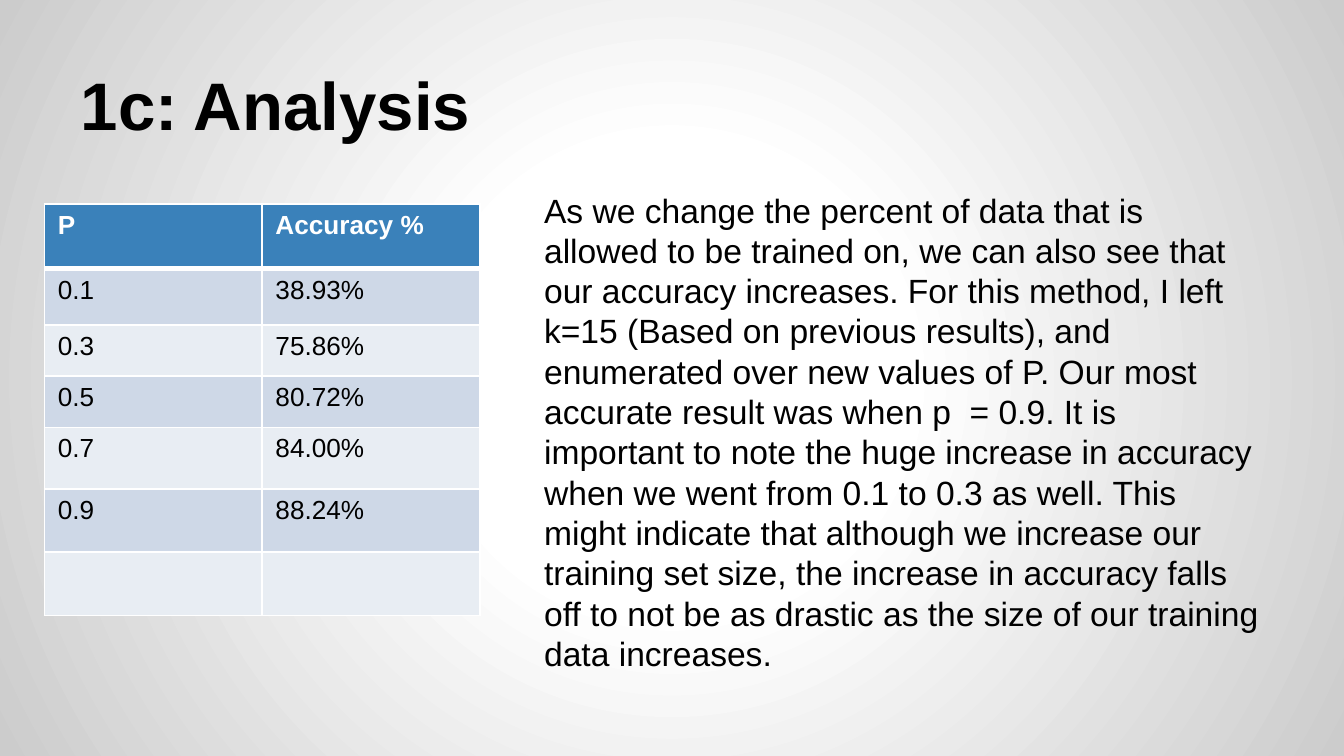
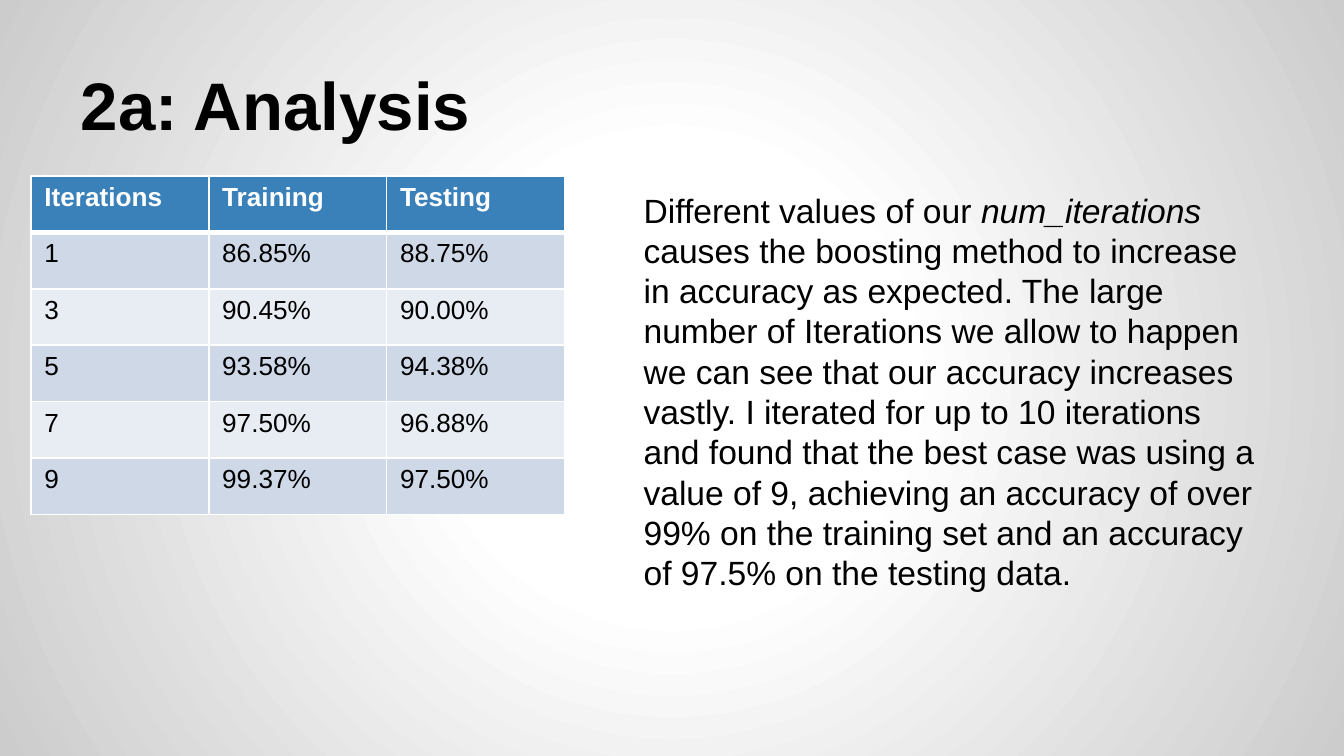
"""Builds two analysis slides, each with a results table beside a commentary."""
from pptx import Presentation
from pptx.dml.color import RGBColor
from pptx.enum.text import MSO_ANCHOR as Anchor, MSO_AUTO_SIZE as AutoSize, PP_ALIGN as Align
from pptx.oxml import parse_xml
from pptx.oxml.ns import nsdecls, qn
from pptx.util import Inches, Pt

BLACK = RGBColor(0x00, 0x00, 0x00)
WHITE = RGBColor(0xFF, 0xFF, 0xFF)
EDGE_GRAY = RGBColor(0xCC, 0xCC, 0xCC)
HEADER_BLUE = RGBColor(0x3A, 0x81, 0xBA)
BAND_DARK = RGBColor(0xCE, 0xD8, 0xE7)
BAND_LIGHT = RGBColor(0xE8, 0xED, 0xF3)
FONT = "Arial"
TITLE_ONLY = 5


class AnalysisDeck:
    """Holds the shared style and the current slide."""

    def __init__(self):
        self.presentation = Presentation()
        self.presentation.slide_width = Inches(10)
        self.presentation.slide_height = Inches(10) * 9 // 16
        self.slide = None
        self.set_background()

    def set_background(self):
        master = self.presentation.slide_master
        master.background.fill.gradient()
        background = master.element.find(".//" + qn("p:bgPr"))
        stops = "".join(
            f'<a:gs pos="{percent * 1000}"><a:srgbClr val="{color}"/></a:gs>'
            for percent, color in ((0, WHITE), (30, WHITE), (100, EDGE_GRAY))
        )
        gradient = parse_xml(
            f'<a:gradFill {nsdecls("a")}><a:gsLst>{stops}</a:gsLst>'
            '<a:path path="circle"><a:fillToRect l="50000" t="50000" r="50000" b="50000"/>'
            "</a:path></a:gradFill>"
        )
        background.replace(background.find(qn("a:gradFill")), gradient)

    def style(self, paragraph, size, color=BLACK, bold=False):
        paragraph.alignment = Align.LEFT
        font = paragraph.font
        font.name, font.size, font.bold = FONT, Pt(size), bold
        font.color.rgb = color

    def frame(self, shape, anchor):
        frame = shape.text_frame
        frame.word_wrap = True
        frame.auto_size = AutoSize.NONE
        frame.vertical_anchor = anchor
        frame.margin_left = frame.margin_right = Inches(0.1)
        frame.margin_top = frame.margin_bottom = Inches(0.1)
        return frame

    def add_slide(self, title):
        layout = self.presentation.slide_layouts[TITLE_ONLY]
        self.slide = self.presentation.slides.add_slide(layout)
        shape = self.slide.shapes.title
        shape.left, shape.top = Inches(0.5), Inches(0.23)
        shape.width, shape.height = Inches(9), Inches(0.94)
        frame = self.frame(shape, Anchor.BOTTOM)
        frame.text = title
        self.style(frame.paragraphs[0], 36, bold=True)

    def add_commentary(self, left, *pieces):
        """Adds text that ends at the right margin; every second piece is italic."""
        shape = self.slide.shapes.add_textbox(
            Inches(left), Inches(1.31), Inches(9.5 - left), Inches(4.07)
        )
        paragraph = self.frame(shape, Anchor.TOP).paragraphs[0]
        self.style(paragraph, 18)
        paragraph.space_before = Pt(6)
        properties = paragraph._p.get_or_add_pPr()
        properties.set("marL", str(Inches(0.04)))
        properties.set("indent", "0")
        for index, piece in enumerate(pieces):
            run = paragraph.add_run()
            run.text = piece
            if index % 2:
                run.font.italic = True

    def add_borders(self, cell, top, bottom):
        properties = cell._tc.get_or_add_tcPr()
        widths = {"L": 1, "R": 1, "T": top, "B": bottom}
        for index, (side, width) in enumerate(widths.items()):
            properties.insert(index, parse_xml(
                f'<a:ln{side} {nsdecls("a")} w="{Pt(width)}"><a:solidFill>'
                f'<a:srgbClr val="{WHITE}"/></a:solidFill></a:ln{side}>'
            ))

    def add_table(self, left, top, width, heights, rows):
        column_count = len(rows[0])
        table = self.slide.shapes.add_table(
            len(rows), column_count, Inches(left), Inches(top),
            Inches(width), Inches(sum(heights))
        ).table
        for column in table.columns:
            column.width = Inches(width / column_count)
        for row_index, (height, values) in enumerate(zip(heights, rows)):
            table.rows[row_index].height = Inches(height)
            header = row_index == 0
            band = BAND_DARK if row_index % 2 else BAND_LIGHT
            for column_index, value in enumerate(values):
                cell = table.cell(row_index, column_index)
                cell.text = value
                cell.fill.solid()
                cell.fill.fore_color.rgb = HEADER_BLUE if header else band
                self.style(cell.text_frame.paragraphs[0], 14,
                           WHITE if header else BLACK, header)
                self.add_borders(cell, top=3 if row_index == 1 else 1,
                                 bottom=3 if header else 1)


def main():
    deck = AnalysisDeck()

    deck.add_slide("1c: Analysis")
    deck.add_commentary(
        3.91,
        "As we change the percent of data that is allowed to be trained on, we can also see "
        "that our accuracy increases. For this method, I left k=15 (Based on previous "
        "results), and enumerated over new values of P. Our most accurate result was when "
        "p  = 0.9. It is important to note the huge increase in accuracy when we went from "
        "0.1 to 0.3 as well. This might indicate that although we increase our training set "
        "size, the increase in accuracy falls off to not be as drastic as the size of our "
        "training data increases.",
    )
    deck.add_table(0.33, 1.52, 3.24, [0.48, 0.42, 0.38, 0.38, 0.46, 0.47, 0.47], [
        ("P", "Accuracy %"),
        ("0.1", "38.93%"),
        ("0.3", "75.86%"),
        ("0.5", "80.72%"),
        ("0.7", "84.00%"),
        ("0.9", "88.24%"),
        ("", ""),
    ])

    deck.add_slide("2a: Analysis")
    deck.add_commentary(
        4.65,
        "Different values of our ",
        "num_iterations ",
        "causes the boosting method to increase in accuracy as expected. The large number of "
        "Iterations we allow to happen we can see that our accuracy increases vastly. I "
        "iterated for up to 10 iterations and found that the best case was using a value of "
        "9, achieving an accuracy of over 99% on the training set and an accuracy of 97.5% "
        "on the testing data.",
    )
    deck.add_table(0.23, 1.31, 3.97, [0.42] * 6, [
        ("Iterations", "Training", "Testing"),
        ("1", "86.85%", "88.75%"),
        ("3", "90.45%", "90.00%"),
        ("5", "93.58%", "94.38%"),
        ("7", "97.50%", "96.88%"),
        ("9", "99.37%", "97.50%"),
    ])

    deck.presentation.save("out.pptx")


if __name__ == "__main__":
    main()
